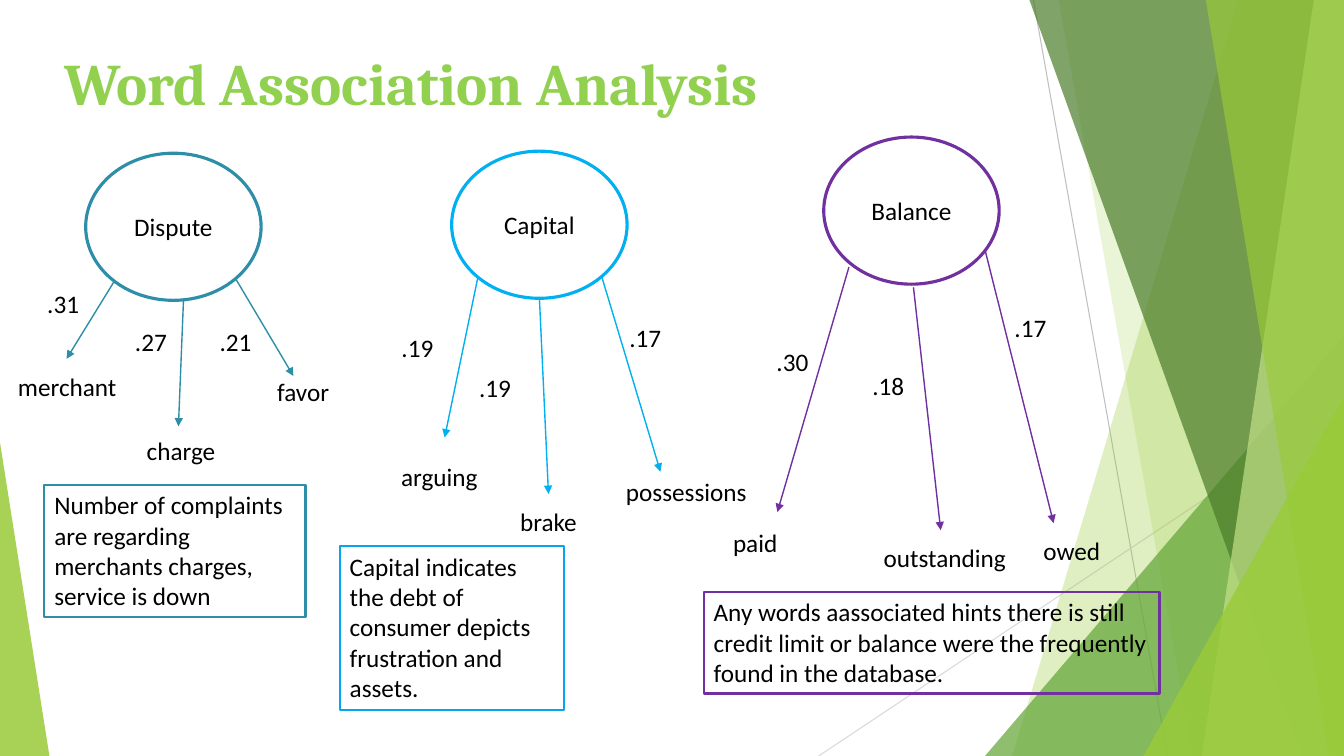
import pptx
import pptx.util
import pptx.dml.color
import pptx.enum.shapes
import pptx.enum.text
import pptx.oxml.ns
import lxml.etree

PX = 9144
SHAPE = pptx.enum.shapes.MSO_SHAPE
ALIGN = pptx.enum.text.PP_ALIGN
ANCHOR = pptx.enum.text.MSO_ANCHOR
TEAL, BLUE, PURPLE = "2E8EA8", "00B0F0", "7030A0"
LIME = "99CB38"

GROUPS = [
    {
        "color": TEAL, "word": "Dispute", "at": (85, 152),
        "arrows": [(114, 278, 66, 356), (182, 298, 177, 423), (234, 277, 291, 373)],
        "left": [(".31", 37, 281, 57), ("merchant", 8, 363, 123), (".27", 124, 319, 57),
                 (".21", 208, 319, 57), ("favor", 265, 368, 94)],
        "center": [("charge", 94, 427, 171)],
        "note": ("Number of complaints are regarding merchants charges, service is down",
                 44, 481, 259, 131, TEAL),
    },
    {
        "color": BLUE, "word": "Capital", "at": (448, 150),
        "arrows": [(474, 275, 441, 434), (535, 296, 544, 490), (597, 275, 655, 468)],
        "left": [("arguing", 388, 453, 100), ("brake", 506, 497, 77),
                 ("possessions", 611, 468, 144)],
        "center": [(".19", 364, 325, 100), (".19", 441, 364, 100), (".17", 590, 315, 100)],
        "note": ("Capital indicates the debt of consumer depicts frustration and assets.",
                 337, 542, 222, 162, "08A5EF"),
    },
    {
        "color": PURPLE, "word": "Balance", "at": (817, 136),
        "arrows": [(842, 265, 771, 508), (906, 285, 933, 526), (977, 248, 1045, 519)],
        "left": [],
        "center": [(".30", 736, 339, 100), (".18", 831, 362, 100), (".17", 972, 305, 100),
                   ("paid", 677, 518, 144), ("outstanding", 865, 533, 144),
                   ("owed", 991, 526, 144)],
        "note": ("Any words aassociated hints there is still credit limit or balance "
                 "were the frequently found in the database.", 698, 587, 452, 101, PURPLE),
    },
]


def px(*values):
    return [pptx.util.Emu(v * PX) for v in values]


def rgb(color):
    return pptx.dml.color.RGBColor.from_string(color)


def paint(sp, color, alpha=100):
    sp.shadow.inherit = False
    sp.fill.solid()
    sp.fill.fore_color.rgb = rgb(color)
    if alpha < 100:
        clr = sp.fill._xPr.find(".//" + pptx.oxml.ns.qn("a:srgbClr"))
        node = lxml.etree.SubElement(clr, pptx.oxml.ns.qn("a:alpha"))
        node.set("val", str(alpha * 1000))


def outline(sp, color, width):
    sp.line.color.rgb = rgb(color)
    sp.line.width = pptx.util.Pt(width)


def put_text(sp, text, size=18, font="Calibri", color="000000", bold=False,
             align=ALIGN.LEFT, anchor=ANCHOR.TOP):
    tf = sp.text_frame
    tf.word_wrap = True
    tf.vertical_anchor = anchor
    p = tf.paragraphs[0]
    p.alignment = align
    r = p.add_run()
    r.text = text
    r.font.size = pptx.util.Pt(size)
    r.font.name = font
    r.font.bold = bold
    r.font.color.rgb = rgb(color)


def add_label(s, text, x, y, w, h=40, **fmt):
    sp = s.shapes.add_textbox(*px(x, y, w, h))
    if fmt.get("align") != ALIGN.CENTER:
        sp.text_frame.margin_right = 0
    put_text(sp, text, **fmt)


def add_line(s, ends, color, width, arrow=False):
    cx = s.shapes.add_connector(pptx.enum.shapes.MSO_CONNECTOR.STRAIGHT, *px(*ends))
    outline(cx, color, width)
    if arrow:
        tail = lxml.etree.SubElement(cx.line._get_or_add_ln(), pptx.oxml.ns.qn("a:tailEnd"))
        tail.set("type", "triangle")
    lxml.etree.SubElement(cx._element.spPr, pptx.oxml.ns.qn("a:effectLst"))


def add_facet(s, points, color, alpha):
    fb = s.shapes.build_freeform(*points[0], scale=PX)
    fb.add_line_segments(points[1:], close=True)
    sp = fb.convert_to_shape()
    paint(sp, color, alpha)
    sp.line.fill.background()


def add_triangle(s, box, apex, color, alpha):
    sp = s.shapes.add_shape(SHAPE.ISOSCELES_TRIANGLE, *px(*box))
    sp.adjustments[0] = apex
    paint(sp, color, alpha)
    sp.line.fill.background()


def add_band(s, top, bottom, color, alpha):
    add_facet(s, [(top, 0), (1333, 0), (1333, 750), (bottom, 750)], color, alpha)


def add_backdrop(s):
    add_line(s, (1025, 0, 1158, 750), "BFBFBF", 0.75)
    add_line(s, (1333, 403, 812, 750), "D9D9D9", 0.75)
    add_band(s, 1228, 1004, LIME, 30)
    add_band(s, 1050, 1183, LIME, 20)
    add_triangle(s, (977, 333, 356, 417), 1, "63A537", 72)
    add_band(s, 1021, 1291, "4A7C29", 70)
    add_band(s, 1303, 1192, "C2E088", 70)
    add_band(s, 1196, 1318, LIME, 65)
    add_triangle(s, (1134, 393, 199, 357), 1, LIME, 80)
    add_triangle(s, (0, 439, 49, 311), 0, LIME, 85)


def add_topic(s, word, at, color):
    sp = s.shapes.add_shape(SHAPE.OVAL, *px(*at, 174, 146))
    paint(sp, "FFFFFF")
    outline(sp, color, 2.25)
    put_text(sp, word, align=ALIGN.CENTER, anchor=ANCHOR.MIDDLE)


def add_note(s, text, x, y, w, h, color):
    sp = s.shapes.add_shape(SHAPE.RECTANGLE, *px(x, y, w, h))
    sp.shadow.inherit = False
    sp.fill.background()
    outline(sp, color, 1.5)
    put_text(sp, text)


def add_group(s, group):
    add_topic(s, group["word"], group["at"], group["color"])
    for ends in group["arrows"]:
        add_line(s, ends, group["color"], 1, arrow=True)
    for label in group["left"]:
        add_label(s, *label)
    for label in group["center"]:
        add_label(s, *label, align=ALIGN.CENTER)
    add_note(s, *group["note"])


def main():
    prs = pptx.Presentation()
    prs.slide_width, prs.slide_height = px(1333, 750)
    s = prs.slides.add_slide(prs.slide_layouts[6])
    add_backdrop(s)
    add_label(s, "Word Association Analysis", 54, 41, 738, 81,
              size=42, font="Cambria", color="92D050", bold=True)
    for group in GROUPS:
        add_group(s, group)
    prs.save("out.pptx")


if __name__ == "__main__":
    main()
